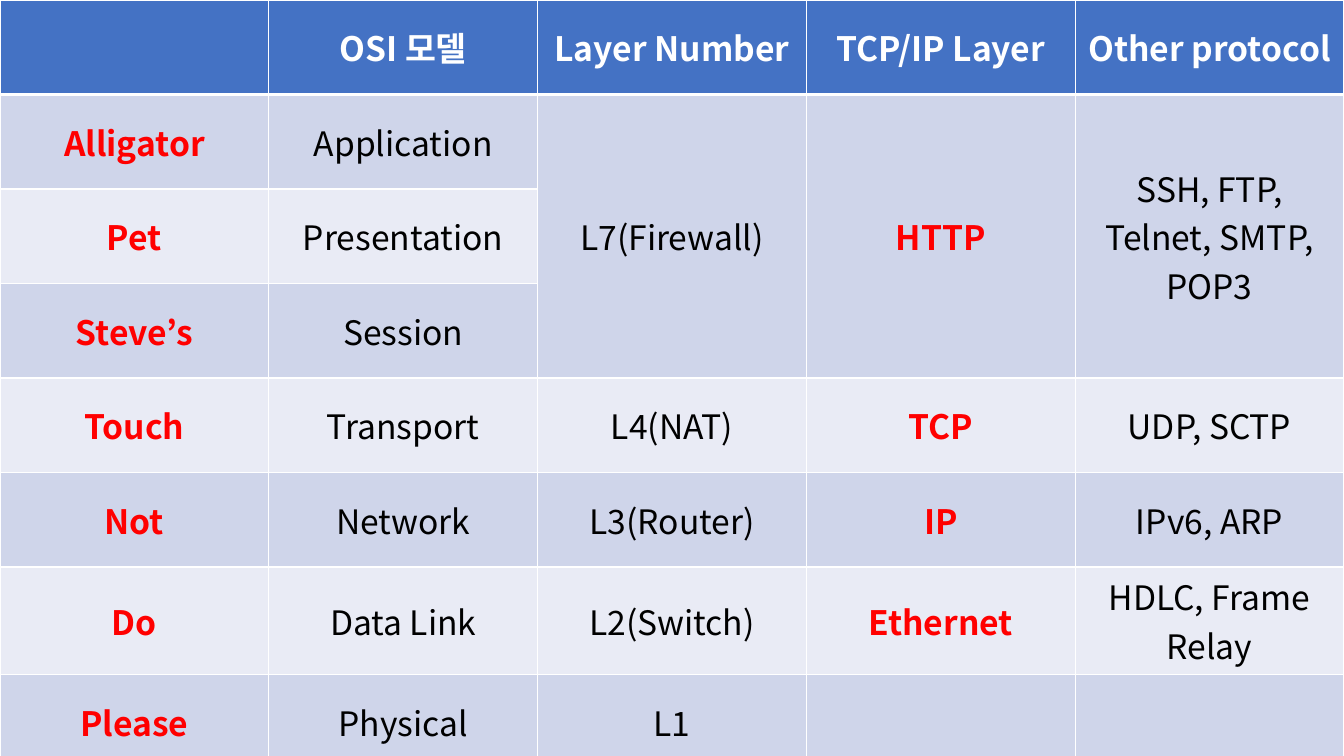
from dataclasses import dataclass

from lxml import etree
from pptx import Presentation
from pptx.dml.color import RGBColor
from pptx.enum.text import MSO_ANCHOR, PP_ALIGN
from pptx.oxml.ns import qn
from pptx.util import Pt

MIDDLE = MSO_ANCHOR.MIDDLE
CENTER = PP_ALIGN.CENTER


@dataclass(frozen=True)
class Theme:
    font: str = "Noto Sans CJK KR"
    size: int = 24
    header_fill: str = "4472C4"
    odd_fill: str = "CFD5EA"
    even_fill: str = "E9EBF5"
    header_text: str = "FFFFFF"
    key_text: str = "FF0000"
    body_text: str = "000000"
    border: str = "FFFFFF"
    thin: int = 1
    thick: int = 3


theme = Theme()

LAYERS = [
    ["", "OSI 모델", "Layer Number", "TCP/IP Layer", "Other protocol"],
    ["Alligator", "Application", "L7(Firewall)", "HTTP", "SSH, FTP, Telnet, SMTP, POP3"],
    ["Pet", "Presentation", "", "", ""],
    ["Steve’s", "Session", "", "", ""],
    ["Touch", "Transport", "L4(NAT)", "TCP", "UDP, SCTP"],
    ["Not", "Network", "L3(Router)", "IP", "IPv6, ARP"],
    ["Do", "Data Link", "L2(Switch)", "Ethernet", "HDLC, Frame Relay"],
    ["Please", "Physical", "L1", "", ""],
]
KEY_COLUMNS = (0, 3)
MERGED_COLUMNS = (2, 3, 4)
APPLICATION_ROW, SESSION_ROW = 1, 3
WIDTH, HEIGHT = 960, 540


def add_border(cell, side, width):
    """Draw one side (L, R, T or B); call before the cell's fill is set."""
    line = etree.SubElement(cell._tc.get_or_add_tcPr(), qn(f"a:ln{side}"), w=str(Pt(width)))
    solid = etree.SubElement(line, qn("a:solidFill"))
    etree.SubElement(solid, qn("a:srgbClr"), val=theme.border)


def write_label(cell, label, color, bold):
    cell.vertical_anchor = MIDDLE
    paragraph = cell.text_frame.paragraphs[0]
    paragraph.text = label
    paragraph.alignment = CENTER
    for run in paragraph.runs:
        run.font.size = Pt(theme.size)
        run.font.bold = bold
        run.font.color.rgb = RGBColor.from_string(color)
        run.font.name = theme.font
        etree.SubElement(run.font._element, qn("a:ea"), typeface=theme.font)


prs = Presentation()
prs.slide_width, prs.slide_height = Pt(WIDTH), Pt(HEIGHT)
slide = prs.slides.add_slide(prs.slide_layouts[6])

row_count, column_count = len(LAYERS), len(LAYERS[0])
osi_table = slide.shapes.add_table(
    row_count, column_count, 0, 0, Pt(WIDTH), Pt(HEIGHT)
).table
for column in osi_table.columns:
    column.width = Pt(WIDTH / column_count)
for row in osi_table.rows:
    row.height = Pt(HEIGHT / row_count)

for r, layer in enumerate(LAYERS):
    is_header = r == 0
    if is_header:
        fill = theme.header_fill
    else:
        fill = theme.odd_fill if r % 2 else theme.even_fill

    for c, label in enumerate(layer):
        cell = osi_table.cell(r, c)
        add_border(cell, "L", theme.thin)
        add_border(cell, "R", theme.thin)
        add_border(cell, "T", theme.thick if r == 1 else theme.thin)
        add_border(cell, "B", theme.thick if is_header else theme.thin)
        cell.fill.solid()
        cell.fill.fore_color.rgb = RGBColor.from_string(fill)

        is_key = c in KEY_COLUMNS
        if is_header:
            color = theme.header_text
        else:
            color = theme.key_text if is_key else theme.body_text
        if label:
            write_label(cell, label, color, is_header or is_key)

for c in MERGED_COLUMNS:
    osi_table.cell(APPLICATION_ROW, c).merge(osi_table.cell(SESSION_ROW, c))

prs.save("out.pptx")
